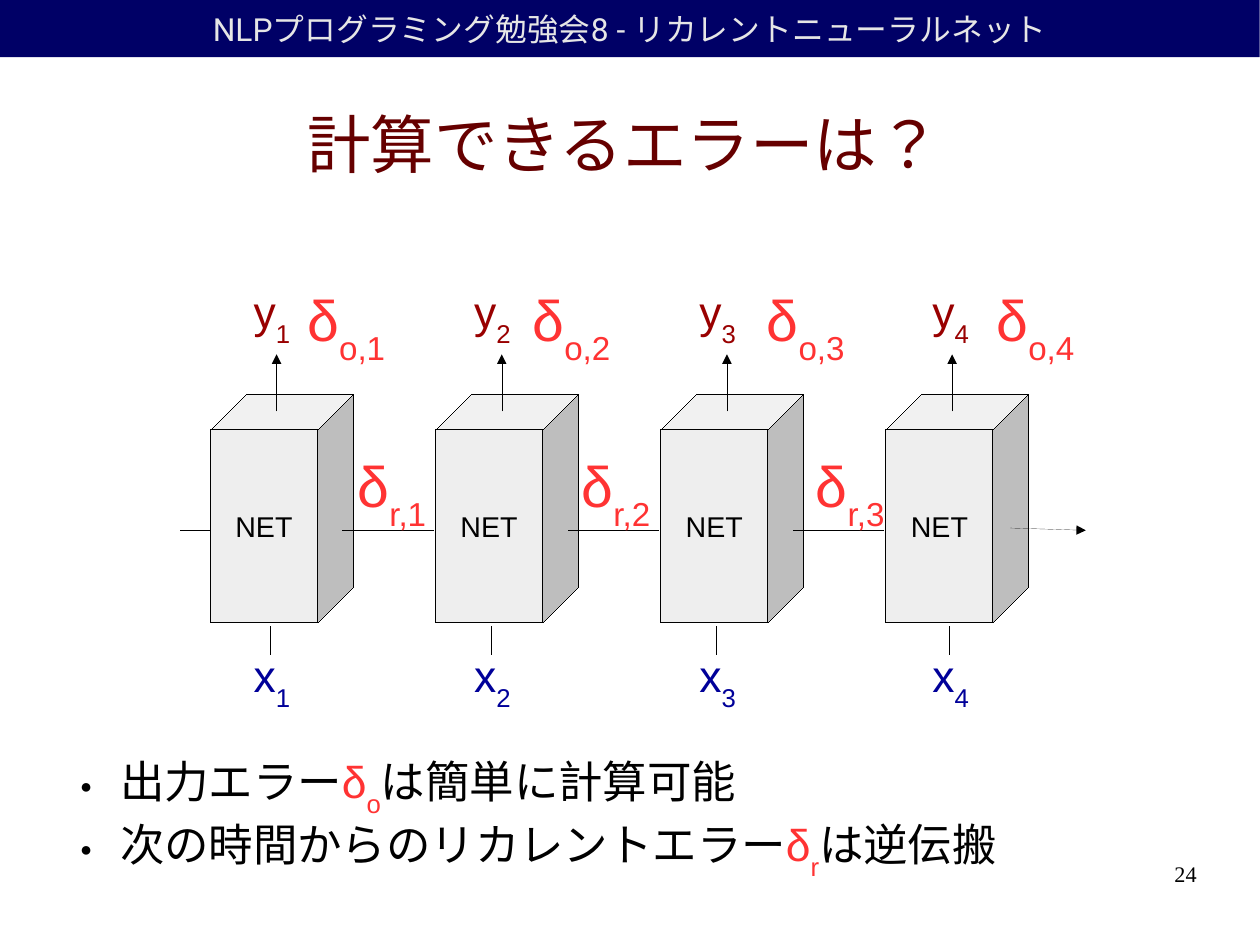
from dataclasses import dataclass

from lxml import etree
from pptx import Presentation
from pptx.dml.color import RGBColor
from pptx.enum.lang import MSO_LANGUAGE_ID
from pptx.enum.shapes import MSO_CONNECTOR, MSO_SHAPE
from pptx.enum.text import MSO_ANCHOR, MSO_AUTO_SIZE, PP_ALIGN
from pptx.oxml.ns import qn
from pptx.util import Cm, Inches, Pt

JAPANESE = MSO_LANGUAGE_ID.JAPANESE
STRAIGHT = MSO_CONNECTOR.STRAIGHT
CUBE, RECTANGLE = MSO_SHAPE.CUBE, MSO_SHAPE.RECTANGLE
MIDDLE, TOP = MSO_ANCHOR.MIDDLE, MSO_ANCHOR.TOP
NO_AUTOFIT = MSO_AUTO_SIZE.NONE
CENTER, RIGHT = PP_ALIGN.CENTER, PP_ALIGN.RIGHT


@dataclass(frozen=True)
class Theme:
    font: str = "Arial"
    header_font: str = "Roboto"
    number_font: str = "Times New Roman"
    header_fill: str = "000066"
    header_text: str = "E6E6E6"
    title: str = "660000"
    cube: str = "EEEEEE"
    ink: str = "000000"
    input: str = "000099"
    output: str = "990000"
    error: str = "FF3333"
    title_size: int = 40
    error_size: int = 36
    body_size: int = 28
    header_size: int = 20
    net_size: int = 18
    number_size: int = 14


THEME = Theme()

HEADER = "NLPプログラミング勉強会8 - リカレントニューラルネット"
TITLE = "計算できるエラーは？"
PAGE_NUMBER = "24"
NET = "NET"
BULLETS = [
    ("出力エラー", "o", "は簡単に計算可能"),
    ("次の時間からのリカレントエラー", "r", "は逆伝搬"),
]
VARIABLE_LEFTS = [2.12, 4.05, 6.02, 8.06]
OUTPUT_ERROR_LEFTS = [2.59, 4.56, 6.61, 8.62]
RECURRENT_ERROR_LEFTS = [3.03, 4.99, 7.04]

SLIDE_SIZE = Cm(28), Cm(21)
HEADER_WIDTH = 11.02
STEP = 1.97
CUBE_LEFT, CUBE_TOP, CUBE_WIDTH, CUBE_HEIGHT = 1.84, 3.45, 1.25, 2
RECURRENT_Y = 4.64
OUTPUT_TOP, RECURRENT_TOP, INPUT_TOP = 2.44, 3.89, 5.62
BULLET_TOP, BULLET_STEP = 6.6, 0.55


def color(value):
    return RGBColor.from_string(value)


def style(font, size, value, name=THEME.font):
    font.size, font.name = Pt(size), name
    font.color.rgb = color(value)


def set_frame(shape, inset_x=0.1, inset_y=0.05, wrap=True, anchor=TOP):
    frame = shape.text_frame
    frame.auto_size = NO_AUTOFIT
    frame.margin_left = frame.margin_right = Inches(inset_x)
    frame.margin_top = frame.margin_bottom = Inches(inset_y)
    frame.word_wrap, frame.vertical_anchor = wrap, anchor
    return frame.paragraphs[0]


def set_text(paragraph, text, size, value, align, name=THEME.font):
    paragraph.text, paragraph.alignment = text, align
    style(paragraph.font, size, value, name)


def add_run(paragraph, text, subscript=False):
    run = paragraph.add_run()
    run.text = text
    if subscript:
        run.font._element.set("baseline", "-33000")
    return run


def add_box(slide, left, top, width, height):
    return slide.shapes.add_textbox(Inches(left), Inches(top), Inches(width), Inches(height))


def add_shape(slide, kind, left, top, width, height, fill):
    shape = slide.shapes.add_shape(kind, Inches(left), Inches(top), Inches(width), Inches(height))
    shape.shadow.inherit = False
    shape.fill.solid()
    shape.fill.fore_color.rgb = color(fill)
    return shape


def set_hairline(shape):
    shape.line.color.rgb = color(THEME.ink)
    shape.line.width = Pt(0)
    shape._element.remove(shape._element.find(qn("p:style")))


def add_line(slide, x1, y1, x2, y2, arrow=False):
    line = slide.shapes.add_connector(STRAIGHT, Inches(x1), Inches(y1), Inches(x2), Inches(y2))
    set_hairline(line)
    if arrow:
        etree.SubElement(line.line._get_or_add_ln(), qn("a:tailEnd"), type="triangle")
    etree.SubElement(line._element.spPr, qn("a:effectLst"))


def add_symbol(slide, symbol, subscript, left, top, width, height, size, value):
    paragraph = set_frame(add_box(slide, left, top, width, height), wrap=False)
    add_run(paragraph, symbol)
    add_run(paragraph, subscript, subscript=True)
    style(paragraph.font, size, value)


def add_variable(slide, symbol, index, left, top, value):
    add_symbol(slide, symbol, str(index), left, top, 0.52, 0.63, THEME.body_size, value)


def add_error(slide, kind, index, left, top, width):
    add_symbol(slide, "δ", f"{kind},{index}", left, top, width, 0.78, THEME.error_size, THEME.error)


def add_bullet(slide, top, before, kind, after):
    paragraph = set_frame(add_box(slide, 0.58, top, 9.92, 0.63), 0, 0)
    properties = paragraph._p.get_or_add_pPr()
    properties.set("marL", str(Inches(0.47)))
    properties.set("indent", str(Inches(-0.35)))
    bullet_color = etree.SubElement(properties, qn("a:buClr"))
    etree.SubElement(bullet_color, qn("a:srgbClr"), val=THEME.ink)
    etree.SubElement(properties, qn("a:buSzPct"), val="45000")
    etree.SubElement(properties, qn("a:buFont"), typeface=THEME.font)
    etree.SubElement(properties, qn("a:buChar"), char="●")
    add_run(paragraph, before)
    for run in (add_run(paragraph, "δ"), add_run(paragraph, kind, subscript=True)):
        run.font.color.rgb = color(THEME.error)
    add_run(paragraph, after)
    style(paragraph.font, THEME.body_size, THEME.ink)


def add_header(slide):
    header = add_shape(slide, RECTANGLE, 0, 0, HEADER_WIDTH, 0.5, THEME.header_fill)
    header.line.fill.background()
    paragraph = set_frame(header, anchor=MIDDLE)
    set_text(paragraph, HEADER, THEME.header_size, THEME.header_text, CENTER, THEME.header_font)


def add_title(slide):
    title = slide.shapes.title
    title.left, title.top = Inches(0.5), Inches(0.62)
    title.width, title.height = Inches(9.92), Inches(1.27)
    paragraph = set_frame(title, 0, 0, anchor=MIDDLE)
    set_text(paragraph, TITLE, THEME.title_size, THEME.title, CENTER)
    font = paragraph.runs[0].font
    font.language_id = JAPANESE
    font._element.set("kern", "0")


def add_network(slide):
    for index in range(len(VARIABLE_LEFTS)):
        left = CUBE_LEFT + index * STEP
        cube = add_shape(slide, CUBE, left, CUBE_TOP, CUBE_WIDTH, CUBE_HEIGHT, THEME.cube)
        cube.adjustments[0] = 0.25
        set_hairline(cube)
        paragraph = set_frame(cube, wrap=False, anchor=MIDDLE)
        set_text(paragraph, NET, THEME.net_size, THEME.ink, CENTER)

    add_line(slide, 1.58, RECURRENT_Y, 1.83, RECURRENT_Y)
    for index, left in enumerate(RECURRENT_ERROR_LEFTS):
        start = 3 + index * STEP
        add_line(slide, start, RECURRENT_Y, start + 0.79, RECURRENT_Y)
        add_error(slide, "r", index + 1, left, RECURRENT_TOP, 0.8)
    add_line(slide, 8.84, 4.62, 9.5, RECURRENT_Y, arrow=True)

    for index, (left, error_left) in enumerate(zip(VARIABLE_LEFTS, OUTPUT_ERROR_LEFTS)):
        arrow_x = CUBE_LEFT + 0.58 + index * STEP
        add_line(slide, arrow_x, 3.6, arrow_x, 3.1, arrow=True)
        add_line(slide, left + 0.25, 5.73, left + 0.25, 5.48)
        add_variable(slide, "x", index + 1, left, INPUT_TOP, THEME.input)
        add_variable(slide, "y", index + 1, left, OUTPUT_TOP, THEME.output)
        add_error(slide, "o", index + 1, error_left, OUTPUT_TOP, 0.88)


def main():
    presentation = Presentation()
    presentation.slide_width, presentation.slide_height = SLIDE_SIZE
    slide = presentation.slides.add_slide(presentation.slide_layouts[5])
    add_header(slide)
    add_title(slide)
    add_network(slide)
    for index, bullet in enumerate(BULLETS):
        add_bullet(slide, BULLET_TOP + index * BULLET_STEP, *bullet)
    number = set_frame(add_box(slide, 7.9, 7.53, 2.57, 0.57), 0, 0)
    set_text(number, PAGE_NUMBER, THEME.number_size, THEME.ink, RIGHT, THEME.number_font)
    presentation.save("out.pptx")


if __name__ == "__main__":
    main()
